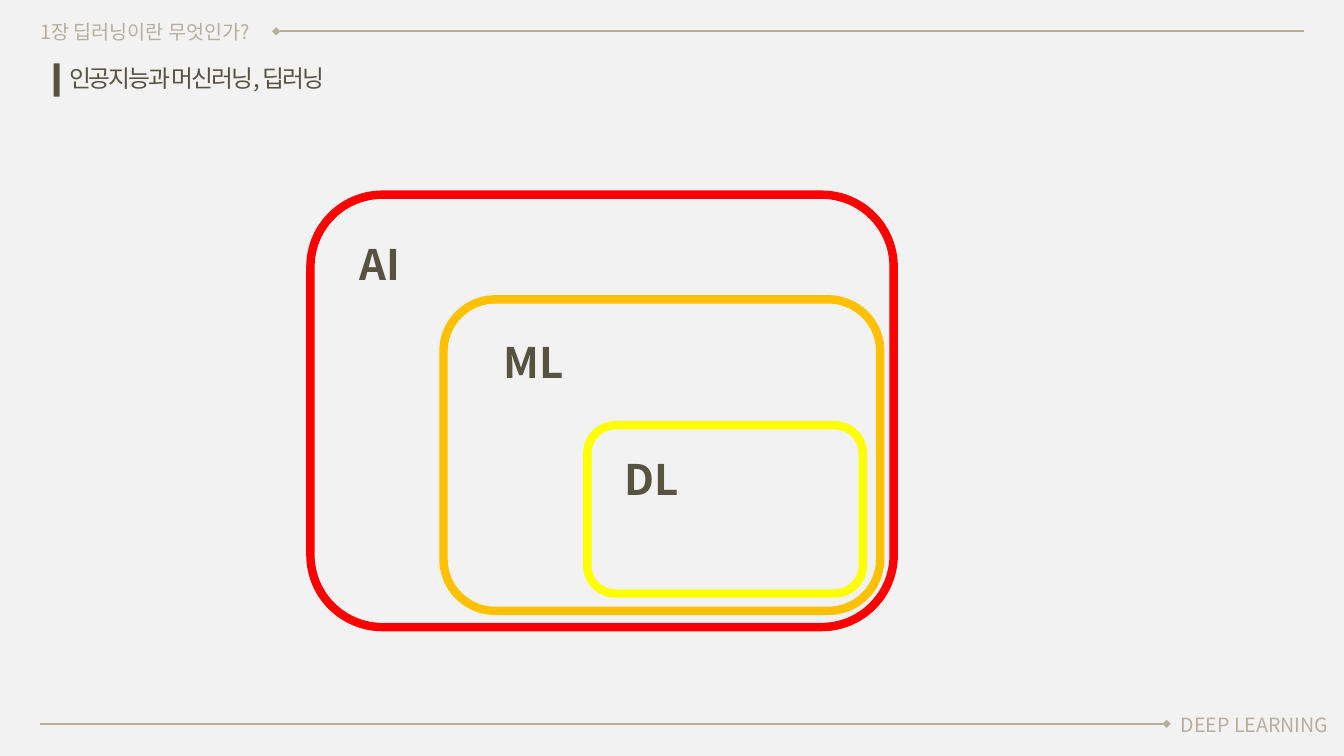
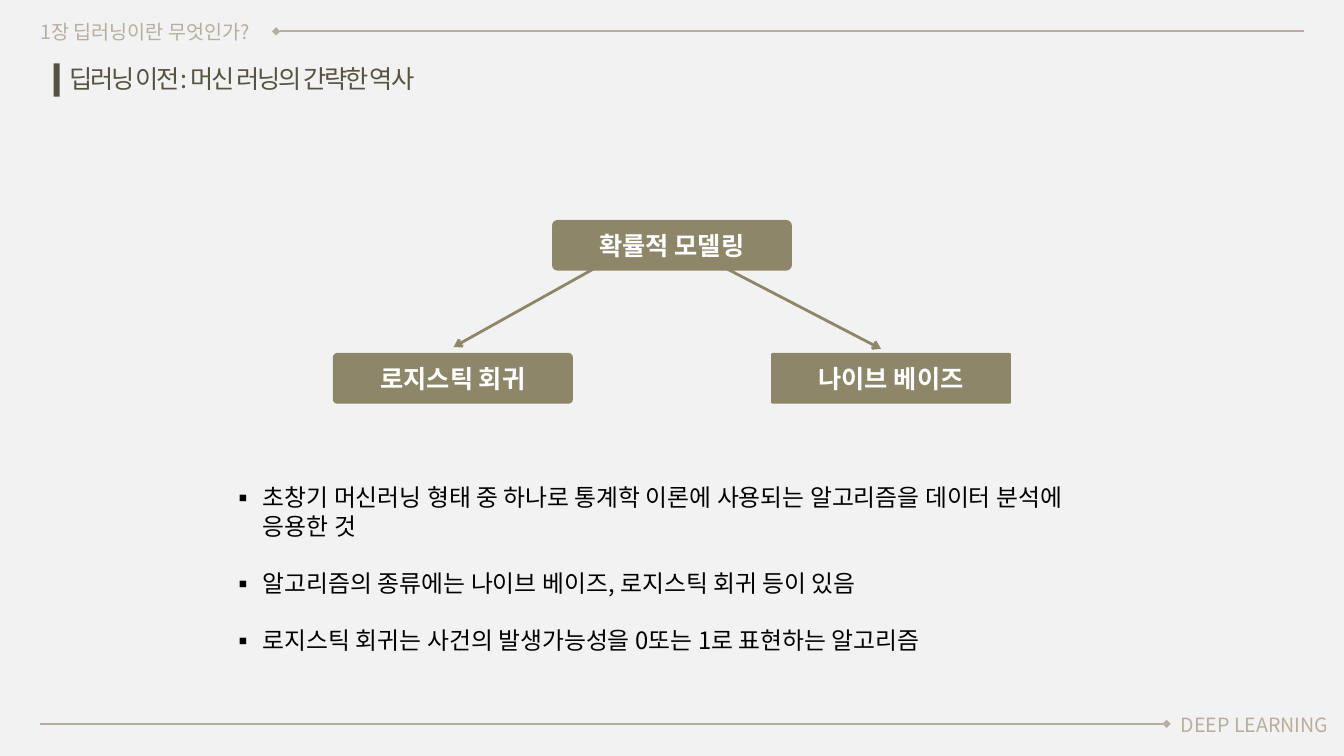
from lxml import etree
from pptx import Presentation
from pptx.dml.color import RGBColor
from pptx.enum import shapes, text
from pptx.oxml.ns import qn
from pptx.util import Inches, Pt

# Shared look
FONT = "Noto Sans CJK KR"
PAPER, SAND, INK, BAR = "F2F2F2", "B7AE9D", "585340", "575141"
OLIVE, WHITE, BLACK = "8D8669", "FFFFFF", "000000"

# The slide is a grid of 100 columns and 100 rows
WIDTH, HEIGHT = Inches(13.33), Inches(7.5)


def place(left, top, width, height):
    return cols(left), rows(top), cols(width), rows(height)


def cols(n):
    return round(WIDTH * n / 100)


def rows(n):
    return round(HEIGHT * n / 100)


def color(hex_string):
    return RGBColor.from_string(hex_string)


def add_xml(parent, tag, **attributes):
    return etree.SubElement(parent, qn(tag), attributes)


# Text
def style(paragraph, size, ink, bold=False, spacing=None):
    for run in paragraph.runs:
        run.font.name = FONT
        run.font.size = Pt(size)
        run.font.bold = bold
        run.font.color.rgb = color(ink)
        properties = run._r.get_or_add_rPr()
        add_xml(properties, "a:ea", typeface=FONT)
        if spacing is not None:
            properties.set("spc", str(round(spacing * 100)))


def add_label(parent, area, words, size, ink, align=text.PP_ALIGN.LEFT, **font):
    frame = parent.shapes.add_textbox(*place(*area)).text_frame
    frame.word_wrap = True
    frame.text = words
    frame.paragraphs[0].alignment = align
    style(frame.paragraphs[0], size, ink, **font)


def add_bullets(slide, area, items, size, pitch):
    frame = slide.shapes.add_textbox(*place(*area)).text_frame
    frame.word_wrap = True
    for index, item in enumerate(items):
        paragraph = frame.add_paragraph() if index else frame.paragraphs[0]
        paragraph.text = item
        paragraph.line_spacing = Pt(pitch)
        paragraph.space_before = Pt(pitch if index else 0)
        style(paragraph, size, BLACK)
        properties = paragraph._p.get_or_add_pPr()
        indent = Inches(0.31)
        properties.set("marL", str(indent))
        properties.set("indent", str(-indent))
        add_xml(properties, "a:buFont", typeface=FONT)
        add_xml(properties, "a:buChar", char="▪")


# Shapes and lines
def add_block(parent, kind, area, fill=None, outline=None, weight=6):
    block = parent.shapes.add_shape(kind, *place(*area))
    block.shadow.inherit = False
    if fill:
        block.fill.solid()
        block.fill.fore_color.rgb = color(fill)
    else:
        block.fill.background()
    if outline:
        block.line.color.rgb = color(outline)
        block.line.width = Pt(weight)
    else:
        block.line.fill.background()
    return block


def add_line(slide, start, end, ink, weight, **ends):
    line = slide.shapes.add_connector(
        shapes.MSO_CONNECTOR.STRAIGHT,
        cols(start[0]), rows(start[1]), cols(end[0]), rows(end[1]))
    line.line.color.rgb = color(ink)
    line.line.width = Pt(weight)
    for end_name, kind in ends.items():
        add_xml(line.line._get_or_add_ln(), f"a:{end_name}", type=kind)
    add_xml(line._element.spPr, "a:effectLst")


def add_topic(slide, center, top, words, rounding):
    width, height = 17.85, 6.7
    topic = add_block(slide, shapes.MSO_SHAPE.ROUNDED_RECTANGLE,
                      (center - width / 2, top, width, height), fill=OLIVE)
    topic.adjustments[0] = rounding
    frame = topic.text_frame
    frame.text = words
    frame.vertical_anchor = text.MSO_ANCHOR.MIDDLE
    frame.paragraphs[0].alignment = text.PP_ALIGN.CENTER
    style(frame.paragraphs[0], 18, WHITE, bold=True)


# Header, title and footer of every slide
def add_page(deck, title, title_size):
    slide = deck.slides.add_slide(deck.slide_layouts[6])
    slide.background.fill.solid()
    slide.background.fill.fore_color.rgb = color(PAPER)
    add_line(slide, (20.55, 4.15), (97, 4.15), SAND, 1.25, headEnd="diamond")
    add_line(slide, (3, 95.75), (86.8, 95.75), SAND, 1.25, tailEnd="diamond")
    add_label(slide, (2.25, 2, 22, 4.3), "1장 딥러닝이란 무엇인가?", 14, SAND)
    add_label(slide, (86.7, 93.6, 13.3, 4.4), "DEEP LEARNING", 14, SAND,
              align=text.PP_ALIGN.CENTER)
    heading = slide.shapes.add_group_shape()
    add_label(heading, (4.4, 7.73, 40, 5.3), title, title_size, INK, spacing=-1.5)
    add_block(heading, shapes.MSO_SHAPE.RECTANGLE, (4, 8.4, 0.45, 4.4), fill=BAR)
    return slide


def add_fields_slide(deck):
    slide = add_page(deck, "인공지능과 머신러닝, 딥러닝", 17)
    fields = [
        ("AI", "FF0000", (23.1, 25.75, 43.4, 57.2), (26, 30.9)),
        ("ML", "FFC000", (33, 39.6, 32.5, 41.2), (36.75, 43.9)),
        ("DL", "FFFF00", (43.7, 56.25, 20.5, 22.25), (45.75, 59.3)),
    ]
    for name, outline, area, corner in fields:
        add_block(slide, shapes.MSO_SHAPE.ROUNDED_RECTANGLE, area, outline=outline)
        add_label(slide, (*corner, 7, 8.1), name, 30, INK, bold=True)


def add_history_slide(deck):
    slide = add_page(deck, "딥러닝 이전: 머신 러닝의 간략한 역사", 18)
    middle, offset = 50, 16.3
    add_topic(slide, middle, 29.1, "확률적 모델링", 0.11)
    add_topic(slide, middle - offset, 46.7, "로지스틱 회귀", 0.08)
    add_topic(slide, middle + offset, 46.7, "나이브 베이즈", 0.03)
    for start, end in [((45.75, 34), (33.75, 45.9)), ((52.5, 34.1), (65.55, 46.15))]:
        add_line(slide, start, end, OLIVE, 2, tailEnd="arrow")
    add_bullets(slide, (16.5, 63.2, 67, 23.9), [
        "초창기 머신러닝 형태 중 하나로 통계학 이론에 사용되는 알고리즘을 데이터 분석에 응용한 것",
        "알고리즘의 종류에는 나이브 베이즈, 로지스틱 회귀 등이 있음",
        "로지스틱 회귀는 사건의 발생가능성을 0또는 1로 표현하는 알고리즘",
    ], size=17, pitch=20.4)


def main():
    deck = Presentation()
    deck.slide_width, deck.slide_height = WIDTH, HEIGHT
    add_fields_slide(deck)
    add_history_slide(deck)
    deck.save("out.pptx")


if __name__ == "__main__":
    main()
